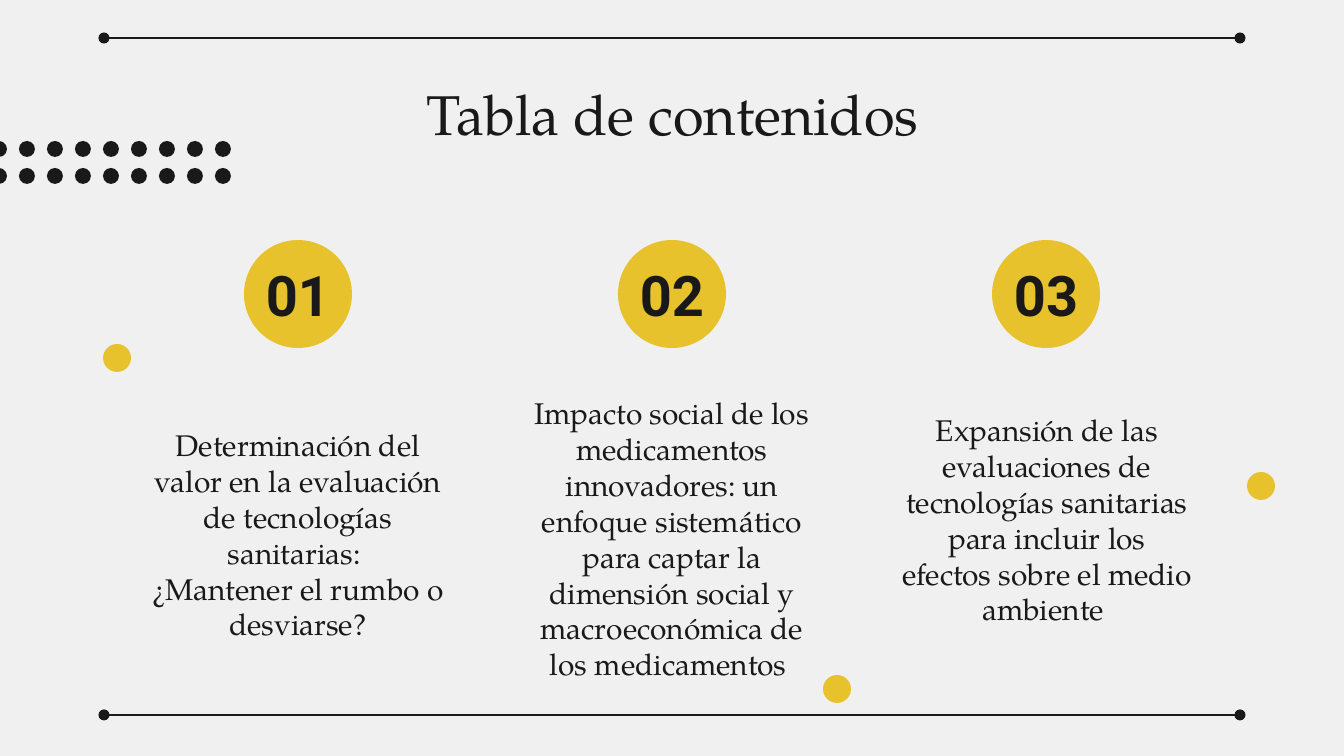
from dataclasses import dataclass

from lxml.etree import SubElement
from pptx import Presentation
from pptx.dml.color import RGBColor as Color
from pptx.enum.shapes import MSO_CONNECTOR as Connector, MSO_SHAPE as Shape
from pptx.enum.text import MSO_ANCHOR as Anchor, MSO_AUTO_SIZE as AutoSize, PP_ALIGN as Align
from pptx.oxml.ns import qn
from pptx.util import Inches, Pt


@dataclass(frozen=True)
class Theme:
    paper: Color = Color.from_string("F0F0F0")
    ink: Color = Color.from_string("191919")
    accent: Color = Color.from_string("E7C22C")
    serif: str = "TeX Gyre Pagella"
    sans: str = "Roboto"
    heading: int = 30
    body: int = 16
    rule: float = 0.75


theme = Theme()
PX = Inches(10) / 1344


def add_dot(shapes, left, top, size, color):
    dot = shapes.add_shape(Shape.OVAL, *(round(n * PX) for n in (left, top, size, size)))
    dot.shadow.inherit = False
    dot.fill.solid()
    dot.fill.fore_color.rgb = color
    dot.line.fill.background()


def write_text(box, area, text, font, size, bold=False, anchor=Anchor.MIDDLE):
    box.left, box.top, box.width, box.height = (round(n * PX) for n in area)
    frame = box.text_frame
    frame.word_wrap = True
    frame.auto_size = AutoSize.NONE
    frame.vertical_anchor = anchor
    frame.margin_left = frame.margin_right = Inches(0.1)
    frame.margin_top = frame.margin_bottom = Inches(0.1)
    para = frame.paragraphs[0]
    para.text = text
    para.alignment = Align.CENTER
    for span in para.runs:
        span.font.name = font
        span.font.size = Pt(size)
        span.font.bold = bold
        span.font.color.rgb = theme.ink


deck = Presentation()
deck.slide_width, deck.slide_height = round(1344 * PX), round(756 * PX)
page = deck.slides.add_slide(deck.slide_layouts[5])
page.background.fill.solid()
page.background.fill.fore_color.rgb = theme.paper

write_text(page.shapes.title, (106, 66, 1133, 85), "Tabla de contenidos",
           theme.serif, theme.heading, anchor=Anchor.TOP)

topics = [
    (138, 363, "Determinación del valor en la evaluación de tecnologías sanitarias: \n"
               "¿Mantener el rumbo o desviarse?"),
    (512, 367, "Impacto social de los medicamentos innovadores: un enfoque sistemático "
               "para captar la dimensión social y macroeconómica de los medicamentos "),
    (887, 348, "Expansión de las evaluaciones de tecnologías sanitarias "
               "para incluir los efectos sobre el medio ambiente "),
]
for index, (left, top, topic) in enumerate(topics):
    badge_left = 244 + 374 * index
    add_dot(page.shapes, badge_left, 240, 108, theme.accent)
    number = page.shapes.add_textbox(0, 0, 0, 0)
    write_text(number, (badge_left, 261, 108, 66), f"{index + 1:02}",
               theme.sans, theme.heading, bold=True)
    description = page.shapes.add_textbox(0, 0, 0, 0)
    write_text(description, (left, top, 320, 343), topic, theme.serif, theme.body)

for y in (38, 715):
    rule = page.shapes.add_connector(
        Connector.STRAIGHT, *(round(n * PX) for n in (104, y, 1240, y)))
    rule.line.color.rgb = theme.ink
    rule.line.width = Pt(theme.rule)
    outline = rule.line._get_or_add_ln()
    for end in ("a:headEnd", "a:tailEnd"):
        SubElement(outline, qn(end), type="oval", w="med", len="med")
    SubElement(rule._element.spPr, qn("a:effectLst"))

for left, top in ((823, 675), (1247, 472), (103, 344)):
    add_dot(page.shapes, left, top, 28, theme.accent)

dot_grid = page.shapes.add_group_shape()
for column in range(9):
    for row in range(2):
        add_dot(dot_grid.shapes, 28 * column - 9, 141 + 27 * row, 16, theme.ink)

deck.save("out.pptx")
